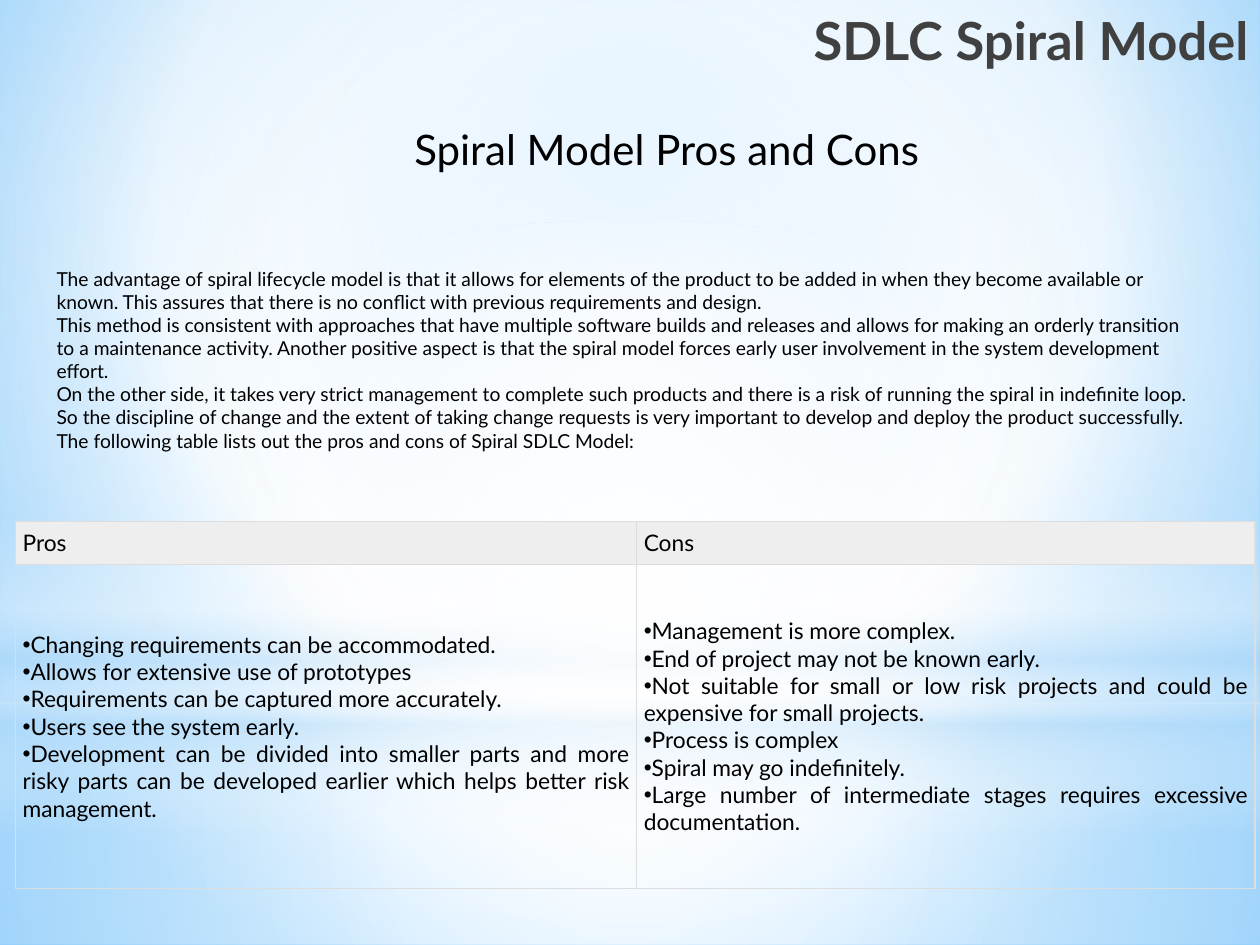
import pptx
import pptx.dml.color
import pptx.enum.shapes
import pptx.enum.text
import pptx.oxml
import pptx.oxml.ns
import pptx.util
from pptx.util import Inches

ALIGN = pptx.enum.text.PP_ALIGN
ANCHOR = pptx.enum.text.MSO_ANCHOR
SHAPE = pptx.enum.shapes.MSO_SHAPE
AUTO_SIZE = pptx.enum.text.MSO_AUTO_SIZE
NAMESPACE = pptx.oxml.ns.nsdecls("a")
CENTRE = (50, 50, 50, 50)

INTRO = [
    "The advantage of spiral lifecycle model is that it allows for elements of the product to be "
    "added in when they become available or known. This assures that there is no conflict with "
    "previous requirements and design.",
    "This method is consistent with approaches that have multiple software builds and releases and "
    "allows for making an orderly transition to a maintenance activity. Another positive aspect is "
    "that the spiral model forces early user involvement in the system development effort.",
    "On the other side, it takes very strict management to complete such products and there is a "
    "risk of running the spiral in indefinite loop. So the discipline of change and the extent of "
    "taking change requests is very important to develop and deploy the product successfully.",
    "The following table lists out the pros and cons of Spiral SDLC Model:",
]
COMPARISON = {
    "Pros": [
        "Changing requirements can be accommodated.",
        "Allows for extensive use of prototypes",
        "Requirements can be captured more accurately.",
        "Users see the system early.",
        "Development can be divided into smaller parts and more risky parts can be developed "
        "earlier which helps better risk management.",
    ],
    "Cons": [
        "Management is more complex.",
        "End of project may not be known early.",
        "Not suitable for small or low risk projects and could be expensive for small projects.",
        "Process is complex",
        "Spiral may go indefinitely.",
        "Large number of intermediate stages requires excessive documentation.",
    ],
}
# Each backdrop: preset, (left, top, width, height), stops of (position, colour, opacity), focus
BACKDROPS = [
    (SHAPE.RECTANGLE, (0, 5.58, 10, 1.92),
     [(0, "FFFFFF", 91), (37, "FFFFFF", 76), (100, "B4DCFA", 79)], CENTRE),
    (SHAPE.RECTANGLE, (0, 0, 10, 5.58),
     [(0, "FFFFFF", 89), (48, "FFFFFF", 62), (100, "B4DCFA", 79)], CENTRE),
    (SHAPE.RECTANGLE, (0, 4.12, 10, 2.5),
     [(0, "FFFFFF", 0), (29, "FFFFFF", 30), (45, "B4DCFA", 40),
      (55, "FFFFFF", 26), (65, "B4DCFA", 60), (100, "FFFFFF", 0)], None),
    (SHAPE.OVAL, (0, 1.75, 10, 5.58), [(0, "FFFFFF", 100), (56, "FFFFFF", 0)], CENTRE),
]


def color(value):
    return pptx.dml.color.RGBColor.from_string(value)


def apply(target, values):
    for name, value in values.items():
        setattr(target, name, value)


def use_gradient(element, stops, focus):
    """Swap the first solid fill for a gradient: circular around focus, or vertical without it."""
    marks = "".join(
        f'<a:gs pos="{position * 1000}"><a:srgbClr val="{value}">'
        f'<a:alpha val="{opacity * 1000}"/></a:srgbClr></a:gs>'
        for position, value, opacity in stops)
    if focus:
        edges = " ".join(f'{side}="{share * 1000}"' for side, share in zip("ltrb", focus))
        direction = f'<a:path path="circle"><a:fillToRect {edges}/></a:path>'
    else:
        direction = '<a:lin ang="5400000" scaled="0"/>'
    solid = next(element.iter(pptx.oxml.ns.qn("a:solidFill")))
    solid.getparent().replace(solid, pptx.oxml.parse_xml(
        f'<a:gradFill {NAMESPACE} rotWithShape="1"><a:gsLst>{marks}</a:gsLst>{direction}'
        '</a:gradFill>'))


class SlideBuilder:
    font = "Lato"
    ink = "000000"
    border = "DDDDDD"
    header_fill = "EEEEEE"
    cell_margin = Inches(0.06)

    def __init__(self, deck):
        self.page = deck.slides.add_slide(deck.slide_layouts[5])

    def background(self, stops, focus):
        self.page.background.fill.solid()
        use_gradient(self.page.element, stops, focus)

    def backdrop(self, preset, area, stops, focus):
        shape = self.page.shapes.add_shape(preset, *map(Inches, area))
        shape.shadow.inherit = False
        shape.line.fill.background()
        shape.fill.solid()
        use_gradient(shape.element, stops, focus)

    def paragraphs(self, frame, lines, size, ink=None, bold=False, align=ALIGN.LEFT):
        for index, line in enumerate(lines):
            para = frame.paragraphs[0] if index == 0 else frame.add_paragraph()
            para.alignment = align
            span = para.add_run()
            span.text = line
            apply(span.font, {"name": self.font, "size": pptx.util.Pt(size), "bold": bold})
            span.font.color.rgb = color(ink or self.ink)

    def title(self, text, area):
        box = self.page.shapes.title
        box.element.getparent().append(box.element)  # in front of the backdrops
        apply(box, dict(zip(("left", "top", "width", "height"), map(Inches, area))))
        apply(box.text_frame, {"vertical_anchor": ANCHOR.MIDDLE, "word_wrap": True,
                               "auto_size": AUTO_SIZE.NONE})
        self.paragraphs(box.text_frame, [text], 30, "404040", True, ALIGN.RIGHT)

    def text(self, lines, area, size, wrap=True):
        box = self.page.shapes.add_textbox(*map(Inches, area))
        apply(box.text_frame, {"word_wrap": wrap, "auto_size": AUTO_SIZE.SHAPE_TO_FIT_TEXT})
        self.paragraphs(box.text_frame, lines, size)

    def style_cell(self, cell, anchor, fill=None):
        apply(cell, {"vertical_anchor": anchor, **{
            f"margin_{side}": self.cell_margin for side in ("left", "right", "top", "bottom")}})
        for side in "LRTB":
            cell._tc.get_or_add_tcPr().append(pptx.oxml.parse_xml(
                f'<a:ln{side} {NAMESPACE} w="9525"><a:solidFill>'
                f'<a:srgbClr val="{self.border}"/></a:solidFill></a:ln{side}>'))
        if fill:
            cell.fill.solid()
            cell.fill.fore_color.rgb = color(fill)
        else:
            cell.fill.background()

    def bullets(self, frame):
        for para in frame.paragraphs:
            para.alignment = ALIGN.JUSTIFY
            properties = para._p.get_or_add_pPr()
            properties.set("marL", "0")
            properties.set("indent", "0")
            properties.append(pptx.oxml.parse_xml(f'<a:buFont {NAMESPACE} typeface="Arial"/>'))
            properties.append(pptx.oxml.parse_xml(f'<a:buChar {NAMESPACE} char="•"/>'))

    def table(self, columns, area, widths, heights):
        grid = self.page.shapes.add_table(2, len(columns), *map(Inches, area)).table
        apply(grid, {"first_row": False, "horz_banding": False})
        for row, height in zip(grid.rows, heights):
            row.height = Inches(height)
        for index, (heading, points) in enumerate(columns.items()):
            grid.columns[index].width = Inches(widths[index])
            head, body = grid.cell(0, index), grid.cell(1, index)
            self.style_cell(head, ANCHOR.TOP, self.header_fill)
            self.paragraphs(head.text_frame, [heading], 13)
            self.style_cell(body, ANCHOR.MIDDLE)
            self.paragraphs(body.text_frame, points, 13)
            self.bullets(body.text_frame)


def main():
    deck = pptx.Presentation()
    apply(deck, {"slide_width": Inches(10), "slide_height": Inches(7.5)})
    slide = SlideBuilder(deck)
    slide.background([(0, "9ED5FF", 100), (60, "FFFFFF", 100), (100, "5BB9FF", 100)],
                     (20, 10, 20, 60))
    for backdrop in BACKDROPS:
        slide.backdrop(*backdrop)
    slide.title("SDLC Spiral Model", (5.9, 0.01, 4.11, 0.61))
    slide.table(COMPARISON, (0.12, 4.14, 9.84, 2.91), (4.93, 4.91), (0.34, 2.57))
    slide.text(["Spiral Model Pros and Cons"], (3.19, 0.93, 4.23, 0.5), 24, wrap=False)
    slide.text(INTRO, (0.35, 2.07, 9.29, 1.77), 11)
    deck.save("out.pptx")


if __name__ == "__main__":
    main()
